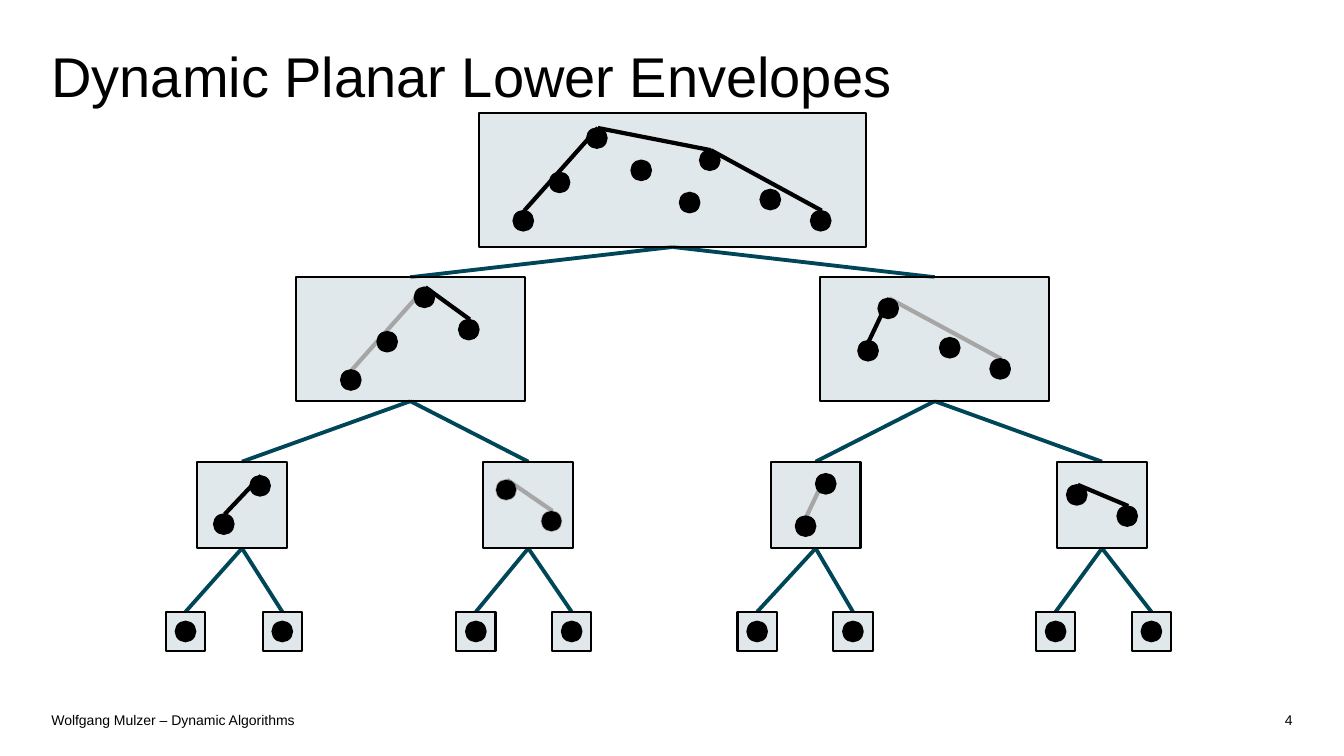
"""Builds a slide showing a binary tree of point sets with their envelopes."""
import pptx
import pptx.dml.color
import pptx.enum.shapes
import pptx.enum.text
import pptx.util
from lxml import etree
from pptx.oxml.ns import qn

Inches = pptx.util.Inches
Pt = pptx.util.Pt
Align = pptx.enum.text.PP_ALIGN
Shape = pptx.enum.shapes.MSO_SHAPE

BLACK = pptx.dml.color.RGBColor(0x00, 0x00, 0x00)
GREY = pptx.dml.color.RGBColor(0xA6, 0xA6, 0xA6)
TEAL = pptx.dml.color.RGBColor(0x00, 0x46, 0x59)
PALE = pptx.dml.color.RGBColor(0xCC, 0xDA, 0xDE)

TEXTS = [
    ("Dynamic Planar Lower Envelopes", (0.51, 0.37, 12.31, 0.75), 40, Align.LEFT),
    ("Wolfgang Mulzer – Dynamic Algorithms", (0.51, 6.99, 10.77, 0.31), 10, Align.LEFT),
    ("4", (11.28, 6.99, 1.54, 0.31), 10, Align.RIGHT),
]

# Rows of the tree: top, box width, box height, box centres
LEVELS = [
    (1.12, 3.84, 1.33, [6.67]),
    (2.75, 2.27, 1.23, [4.07, 9.27]),
    (4.58, 0.89, 0.86, [2.4, 5.24, 8.09, 10.93]),
    (6.07, 0.39, 0.39, [1.84, 2.8, 4.72, 5.67, 7.51, 8.46, 10.47, 11.42]),
]

# Dot centres of each inner node, row by row
POINTS = [
    [(5.19, 2.19), (5.55, 1.81), (5.92, 1.37), (6.36, 1.69),
     (6.84, 2.01), (7.04, 1.59), (7.64, 1.98), (8.14, 2.19)],
    [(3.48, 3.77), (3.84, 3.39), (4.21, 2.95), (4.65, 3.27)],
    [(8.61, 3.48), (8.81, 3.06), (9.42, 3.45), (9.92, 3.66)],
    [(2.22, 5.2), (2.58, 4.82)],
    [(5.02, 4.86), (5.47, 5.17)],
    [(7.99, 5.22), (8.19, 4.8)],
    [(10.68, 4.91), (11.18, 5.12)],
]

# Envelope segments of each inner node: first dot, last dot, colour
ENVELOPES = [
    [(0, 2, BLACK), (2, 5, BLACK), (5, 7, BLACK)],
    [(0, 2, GREY), (2, 3, BLACK)],
    [(0, 1, BLACK), (1, 3, GREY)],
    [(0, 1, BLACK)],
    [(0, 1, GREY)],
    [(0, 1, GREY)],
    [(0, 1, BLACK)],
]

FAINT_OUTLINE_NODE = 4
DOT = 0.2
TIP_SHIFT = 0.01


def set_alpha(fill, percent):
    """Makes a solid fill partly transparent."""
    color = fill._xPr.find(qn("a:solidFill"))[0]
    etree.SubElement(color, qn("a:alpha")).set("val", str(percent * 1000))


def add_text(page, text, place, size, align):
    """Adds a single line of text without margins."""
    box = page.shapes.add_textbox(*map(Inches, place))
    frame = box.text_frame
    frame.word_wrap = True
    frame.vertical_anchor = pptx.enum.text.MSO_ANCHOR.MIDDLE
    frame.margin_left = frame.margin_right = frame.margin_top = frame.margin_bottom = 0
    frame.text = text
    para = frame.paragraphs[0]
    para.alignment = align
    span = para.runs[0]
    span.font.name = "Arial"
    span.font.size = Pt(size)
    span.font.color.rgb = BLACK


def add_line(page, start, end, color, width):
    """Adds a straight line between two points."""
    line = page.shapes.add_connector(
        pptx.enum.shapes.MSO_CONNECTOR.STRAIGHT, *map(Inches, start + end))
    line.line.color.rgb = color
    line.line.width = Pt(width)
    etree.SubElement(line._element.spPr, qn("a:effectLst"))


def add_filled(page, kind, place, fill, width):
    """Adds a filled shape with a black outline."""
    shape = page.shapes.add_shape(kind, *map(Inches, place))
    shape.shadow.inherit = False
    shape.fill.solid()
    shape.fill.fore_color.rgb = fill
    shape.line.color.rgb = BLACK
    shape.line.width = Pt(width)
    return shape


def main():
    """Draws the slide and saves it."""
    deck = pptx.Presentation()
    deck.slide_width, deck.slide_height = Inches(13.33), Inches(7.5)
    page = deck.slides.add_slide(deck.slide_layouts[6])

    for text in TEXTS:
        add_text(page, *text)

    nodes = [(center, top, width, height)
             for top, width, height, centers in LEVELS for center in centers]

    for index, (center, top, width, height) in enumerate(nodes[1:], start=1):
        parent = nodes[(index - 1) // 2]
        add_line(page, (parent[0], parent[1] + parent[3]), (center, top), TEAL, 2.75)

    for index, (center, top, width, height) in enumerate(nodes):
        box = add_filled(page, Shape.RECTANGLE,
                         (center - width / 2, top, width, height), PALE, 1.5)
        set_alpha(box.fill, 60)
        inner = index < len(POINTS)
        dots = POINTS[index] if inner else [(center, top + height / 2)]
        tips = [(x + TIP_SHIFT, y - DOT / 2) for x, y in dots]
        for first, last, color in ENVELOPES[index] if inner else []:
            add_line(page, tips[first], tips[last], color, 3)
        for x, y in dots:
            dot = add_filled(page, Shape.OVAL,
                             (x - DOT / 2, y - DOT / 2, DOT, DOT), BLACK, 1.08)
            if index == FAINT_OUTLINE_NODE:
                set_alpha(dot.line.fill, 25)

    deck.save("out.pptx")


if __name__ == "__main__":
    main()
